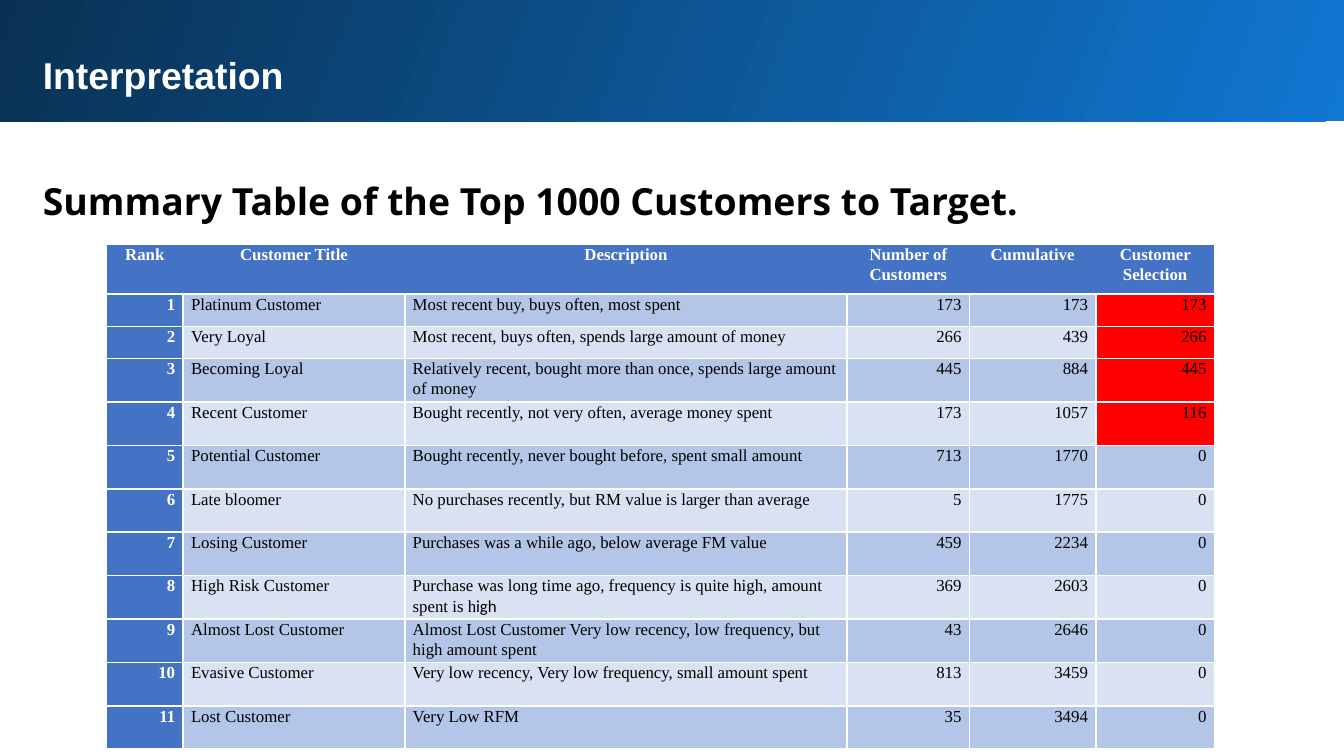
"""Build the slide that summarises the customer segments to target."""
from dataclasses import dataclass

import pptx
import pptx.dml.color
import pptx.enum.shapes
import pptx.enum.text
import pptx.oxml
import pptx.oxml.ns
import pptx.util

Cm = pptx.util.Cm
Pt = pptx.util.Pt
RGBColor = pptx.dml.color.RGBColor
Align = pptx.enum.text.PP_ALIGN

WHITE = RGBColor(0xFF, 0xFF, 0xFF)
BLACK = RGBColor(0x00, 0x00, 0x00)
BRIGHT_BLUE = RGBColor(0x10, 0x77, 0xD2)
NAVY = RGBColor(0x09, 0x31, 0x53)
HEADER_BLUE = RGBColor(0x44, 0x72, 0xC4)
DARK_BAND = RGBColor(0xB4, 0xC6, 0xE7)
LIGHT_BAND = RGBColor(0xD9, 0xE2, 0xF3)
SELECTED_RED = RGBColor(0xFF, 0x00, 0x00)


@dataclass(frozen=True)
class Column:
    heading: str
    width: float
    align: Align


@dataclass(frozen=True)
class Segment:
    title: str
    description: str
    customers: int
    cumulative: int
    selected: int = 0
    description_end: str = ""


@dataclass(frozen=True)
class Heading:
    text: str
    top: float
    height: float
    font: str
    color: RGBColor
    spacing: float


COLUMNS = [
    Column("Rank", 1.45, Align.RIGHT),
    Column("Customer Title", 4.19, Align.LEFT),
    Column("Description", 8.36, Align.LEFT),
    Column("Number of Customers", 2.31, Align.RIGHT),
    Column("Cumulative", 2.39, Align.RIGHT),
    Column("Customer Selection", 2.24, Align.RIGHT),
]
SEGMENTS = [
    Segment("Platinum Customer", "Most recent buy, buys often, most spent", 173, 173, 173),
    Segment("Very Loyal", "Most recent, buys often, spends large amount of money", 266, 439, 266),
    Segment("Becoming Loyal", "Relatively recent, bought more than once, spends large amount of money",
            445, 884, 445),
    Segment("Recent Customer", "Bought recently, not very often, average money spent", 173, 1057, 116),
    Segment("Potential Customer", "Bought recently, never bought before, spent small amount", 713, 1770),
    Segment("Late bloomer", "No purchases recently, but RM value is larger than average", 5, 1775),
    Segment("Losing Customer", "Purchases was a while ago, below average FM value", 459, 2234),
    Segment("High Risk Customer", "Purchase was long time ago, frequency is quite high, amount spent is h",
            369, 2603, description_end="igh"),
    Segment("Almost Lost Customer",
            "Almost Lost Customer Very low recency, low frequency, but high amount spent", 43, 2646),
    Segment("Evasive Customer", "Very low recency, Very low frequency, small amount spent", 813, 3459),
    Segment("Lost Customer", "Very Low RFM", 35, 3494),
]
HEADINGS = [
    Heading("Interpretation", 0.74, 2.11, "Arial", WHITE, 1),
    Heading("Summary Table of the Top 1000 Customers to Target.", 3.0, 1.42, "Open Sans", BLACK, 1.15),
]
HEADER_HEIGHT, SHORT_HEIGHT, TALL_HEIGHT = 0.94, 0.61, 0.82
SHORT_ROWS = 2


def write(frame, text: str, *, size: float = 9, font: str = "Times New Roman",
          color: RGBColor = BLACK, bold: bool = False, align: Align = Align.LEFT,
          spacing: float = 1.07, ending: str = "", ending_font: str = "Calibri") -> None:
    frame.word_wrap = True
    paragraph = frame.paragraphs[0]
    paragraph.alignment = align
    paragraph.line_spacing = spacing
    for words, face in ((text, font), (ending, ending_font)):
        if words:
            run = paragraph.add_run()
            run.text = words
            run.font.name = face
            run.font.size = Pt(size)
            run.font.bold = bold
            run.font.color.rgb = color


def draw_band(slide) -> None:
    band = slide.shapes.add_shape(pptx.enum.shapes.MSO_SHAPE.RECTANGLE,
                                  Cm(-0.05), Cm(-0.05), Cm(25.53), Cm(2.34))
    band.shadow.inherit = False
    band.line.fill.background()
    band.fill.gradient()
    band.fill.gradient_angle = 160
    for stop, color in zip(band.fill.gradient_stops, (BRIGHT_BLUE, NAVY)):
        stop.color.rgb = color


def draw_heading(slide, heading: Heading) -> None:
    frame = slide.shapes.add_textbox(Cm(0.56), Cm(heading.top), Cm(23.8), Cm(heading.height)).text_frame
    frame.margin_left = frame.margin_right = frame.margin_top = frame.margin_bottom = Cm(0.25)
    write(frame, heading.text, size=20, font=heading.font, color=heading.color,
          bold=True, spacing=heading.spacing)


def style_cell(cell, fill: RGBColor, hidden_sides: str = "") -> None:
    cell.margin_left = cell.margin_right = Cm(0.15)
    cell.margin_top = cell.margin_bottom = 0
    properties = cell._tc.get_or_add_tcPr()
    for side in "LRTB":
        paint = "<a:noFill/>" if side in hidden_sides else (
            f'<a:solidFill><a:srgbClr val="{WHITE}"/></a:solidFill>')
        properties.append(pptx.oxml.parse_xml(
            f'<a:ln{side} {pptx.oxml.ns.nsdecls("a")} w="{Pt(1)}">{paint}</a:ln{side}>'))
    cell.fill.solid()
    cell.fill.fore_color.rgb = fill


def draw_segment(table, rank: int, segment: Segment) -> None:
    band = DARK_BAND if rank % 2 else LIGHT_BAND
    selection = SELECTED_RED if segment.selected else band
    fills = [HEADER_BLUE, band, band, band, band, selection]
    values = [rank, segment.title, segment.description,
              segment.customers, segment.cumulative, segment.selected]
    for index, (column, value, fill) in enumerate(zip(COLUMNS, values, fills)):
        cell = table.cell(rank, index)
        style_cell(cell, fill)
        is_rank = index == 0
        write(cell.text_frame, str(value), color=WHITE if is_rank else BLACK, bold=is_rank,
              align=column.align, ending=segment.description_end if index == 2 else "")


def draw_table(slide) -> None:
    tall_rows = len(SEGMENTS) - SHORT_ROWS
    heights = [HEADER_HEIGHT] + [SHORT_HEIGHT] * SHORT_ROWS + [TALL_HEIGHT] * tall_rows
    width = sum(column.width for column in COLUMNS)
    table = slide.shapes.add_table(len(heights), len(COLUMNS), Cm(2.01), Cm(4.62),
                                   Cm(width), Cm(sum(heights))).table
    for row, height in zip(table.rows, heights):
        row.height = Cm(height)
    last = len(COLUMNS) - 1
    for index, column in enumerate(COLUMNS):
        table.columns[index].width = Cm(column.width)
        cell = table.cell(0, index)
        style_cell(cell, HEADER_BLUE, ("L" if index else "") + ("R" if index < last else ""))
        write(cell.text_frame, column.heading, color=WHITE, bold=True, align=Align.CENTER)
    for rank, segment in enumerate(SEGMENTS, start=1):
        draw_segment(table, rank, segment)


def main() -> None:
    deck = pptx.Presentation()
    deck.slide_width, deck.slide_height = Cm(25.4), Cm(14.29)
    slide = deck.slides.add_slide(deck.slide_layouts[6])
    draw_band(slide)
    for heading in HEADINGS:
        draw_heading(slide, heading)
    draw_table(slide)
    deck.save("out.pptx")


if __name__ == "__main__":
    main()
